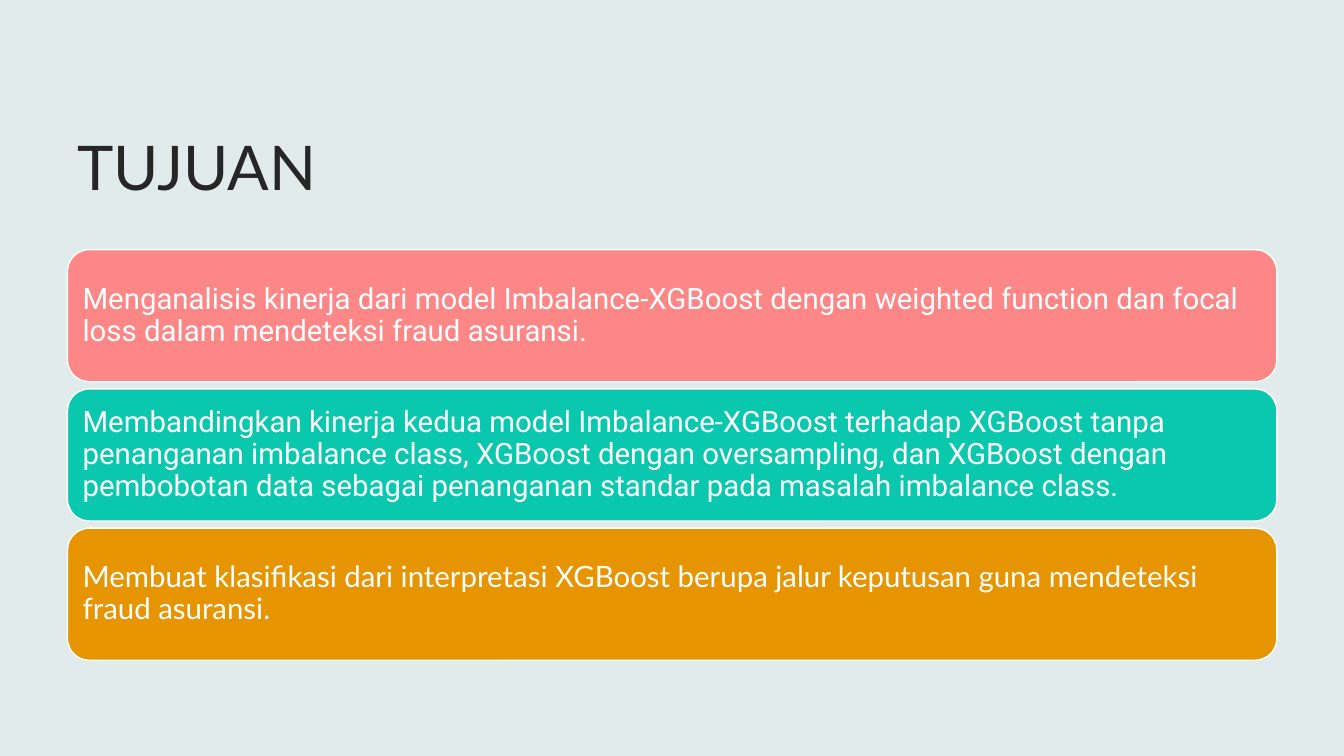
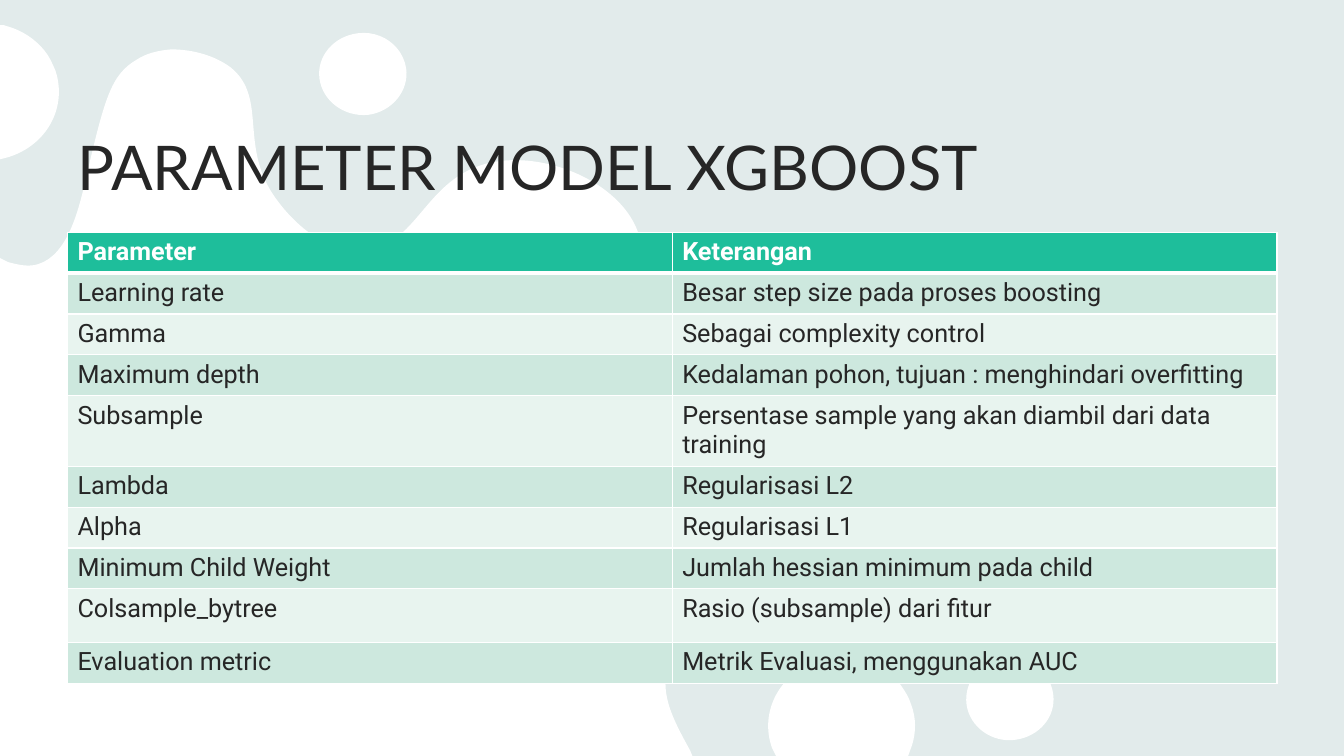
"""Build two slides: the research goals and the XGBoost parameter table."""
from dataclasses import dataclass

from lxml.etree import SubElement
from pptx import Presentation
from pptx.dml.color import RGBColor
from pptx.enum.shapes import MSO_SHAPE
from pptx.enum.text import MSO_ANCHOR, PP_ALIGN
from pptx.oxml.ns import qn
from pptx.util import Cm, Pt


@dataclass(frozen=True)
class Theme:
    background: str = "E9F3F3"
    tint: str = "AEAEAE"
    white: str = "FFFFFF"
    ink: str = "262626"
    coral: str = "FD8686"
    teal: str = "0AC8AD"
    amber: str = "E69500"
    header: str = "1EBE9B"
    bands: tuple = ("CDE8DE", "E8F4EF")
    heading_font: str = "Lato"
    body_font: str = "Roboto"
    title_size: int = 44
    goal_size: int = 21
    table_size: int = 18


theme = Theme()
margin = Cm(1.7)
content_width = Cm(30.48)


def add_run(paragraph, text, font, size, color, bold=False):
    run = paragraph.add_run()
    run.text = text
    run.font.name = font
    run.font.size = Pt(size)
    run.font.bold = bold
    run.font.color.rgb = RGBColor.from_string(color)


def add_titled_slide(title, blobs=()):
    slide = deck.slides.add_slide(deck.slide_layouts[6])
    slide.background.fill.solid()
    slide.background.fill.fore_color.rgb = RGBColor.from_string(theme.background)
    tint = slide.shapes.add_shape(
        MSO_SHAPE.RECTANGLE, 0, 0, deck.slide_width, deck.slide_height)
    tint.shadow.inherit = False
    tint.fill.solid()
    tint.fill.fore_color.rgb = RGBColor.from_string(theme.tint)
    tint.line.fill.background()
    tint_color = tint._element.spPr.find(qn("a:solidFill"))[0]
    SubElement(tint_color, qn("a:alpha"), val="10000")
    if blobs:
        builder = slide.shapes.build_freeform(*blobs[0][0], scale=Cm(2.54) / 100)
        for number, (start, *segments) in enumerate(blobs):
            if number:
                builder.move_to(*start)
            points = [segment[i:i + 2] for segment in segments
                      for i in range(0, len(segment), 2)]
            builder.add_line_segments(points, close=True)
        splash = builder.convert_to_shape()
        splash.shadow.inherit = False
        splash.fill.solid()
        splash.fill.fore_color.rgb = RGBColor.from_string(theme.white)
        splash.line.fill.background()
        vertices = iter(list(splash._element.iter(qn("a:lnTo"))))
        for start, *segments in blobs:
            for segment in segments:
                group = [next(vertices) for _ in range(len(segment) // 2)]
                if len(group) == 3:
                    curve = group[0].makeelement(qn("a:cubicBezTo"))
                    group[0].addprevious(curve)
                    for vertex in group:
                        curve.append(vertex[0])
                        vertex.getparent().remove(vertex)
    heading = slide.shapes.add_textbox(margin, Cm(1.55), content_width, Cm(3.68))
    heading.text_frame.word_wrap = True
    heading.text_frame.vertical_anchor = MSO_ANCHOR.BOTTOM
    add_run(heading.text_frame.paragraphs[0], title,
            theme.heading_font, theme.title_size, theme.ink)
    return slide


deck = Presentation()
deck.slide_width = Cm(33.87)
deck.slide_height = Cm(19.05)

goals = [
    ("Menganalisis kinerja dari model Imbalance-XGBoost dengan weighted function "
     "dan focal loss dalam mendeteksi fraud asuransi.",
     theme.coral, theme.body_font),
    ("Membandingkan kinerja kedua model Imbalance-XGBoost terhadap XGBoost tanpa "
     "penanganan imbalance class, XGBoost dengan oversampling, dan XGBoost dengan "
     "pembobotan data sebagai penanganan standar pada masalah imbalance class.",
     theme.teal, theme.body_font),
    ("Membuat klasifikasi dari interpretasi XGBoost berupa jalur keputusan guna "
     "mendeteksi fraud asuransi.",
     theme.amber, theme.heading_font),
]
goals_slide = add_titled_slide("TUJUAN")
for position, (goal, color, font) in enumerate(goals):
    card = goals_slide.shapes.add_shape(
        MSO_SHAPE.ROUNDED_RECTANGLE,
        margin, Cm(6.29 + position * 3.51), content_width, Cm(3.33))
    card.shadow.inherit = False
    card.fill.solid()
    card.fill.fore_color.rgb = RGBColor.from_string(color)
    card.line.color.rgb = RGBColor.from_string(theme.white)
    card.line.width = Pt(1)
    frame = card.text_frame
    frame.word_wrap = True
    frame.vertical_anchor = MSO_ANCHOR.MIDDLE
    frame.margin_left = frame.margin_right = Cm(0.22)
    paragraph = frame.paragraphs[0]
    paragraph.alignment = PP_ALIGN.LEFT
    paragraph.line_spacing = 0.9
    add_run(paragraph, goal, font, theme.goal_size, theme.white)

right_drop = [
    (997, 653),
    (1012, 652, 1027, 657, 1036, 668), (1041, 674, 1044, 681, 1045, 689),
    (1048, 711, 1031, 731, 1007, 734), (984, 737, 962, 721, 959, 699),
    (956, 676, 973, 656, 997, 653),
]
bottom_drop = [
    (835, 652),
    (858, 652, 880, 662, 894, 680), (898, 686, 902, 692, 904, 699),
    (909, 712, 909, 726, 905, 739), (901, 750), (770, 750), (766, 742),
    (753, 706, 774, 667, 812, 656), (820, 653, 827, 652, 835, 652),
]
wave = [
    (170, 49),
    (191, 49, 213, 55, 229, 67), (267, 98, 235, 147, 276, 200),
    (281, 207, 316, 252, 359, 249), (415, 245, 420, 178, 484, 162),
    (529, 151, 588, 170, 618, 205), (665, 260, 610, 320, 660, 389),
    (694, 438, 753, 454, 758, 455), (827, 473, 866, 429, 918, 459),
    (928, 465, 963, 486, 973, 521), (975, 526, 976, 531, 976, 536),
    (978, 574, 948, 613, 912, 624), (863, 638, 839, 591, 771, 596),
    (736, 598, 684, 617, 666, 653), (651, 684, 668, 714, 685, 745),
    (687, 750), (0, 750), (0, 256), (8, 260),
    (19, 263, 29, 265, 38, 262), (67, 253, 78, 209, 85, 178),
    (104, 97, 110, 74, 136, 59), (145, 53, 157, 50, 170, 49),
]
top_drop = [
    (355, 33),
    (370, 31, 385, 37, 394, 48), (399, 54, 402, 61, 403, 68),
    (406, 90, 389, 111, 365, 114), (341, 116, 320, 100, 317, 78),
    (314, 56, 331, 36, 355, 33),
]
left_drop = [
    (0, 25), (4, 25), (7, 26),
    (22, 30, 35, 39, 44, 50), (49, 56, 52, 63, 55, 70),
    (67, 106, 47, 144, 8, 156), (0, 158),
]
parameters_slide = add_titled_slide(
    "PARAMETER MODEL XGBOOST",
    blobs=(right_drop, bottom_drop, wave, top_drop, left_drop))

parameters = [
    ("Parameter", "Keterangan"),
    ("Learning rate", "Besar step size pada proses boosting"),
    ("Gamma", "Sebagai complexity control"),
    ("Maximum depth", "Kedalaman pohon, tujuan : menghindari overfitting"),
    ("Subsample", "Persentase sample yang akan diambil dari data training"),
    ("Lambda", "Regularisasi L2"),
    ("Alpha", "Regularisasi L1"),
    ("Minimum Child Weight", "Jumlah hessian minimum pada child"),
    ("Colsample_bytree", "Rasio (subsample) dari fitur"),
    ("Evaluation metric", "Metrik Evaluasi, menggunakan AUC"),
]
row_heights = {"Colsample_bytree": 1.35}
heights = [Cm(row_heights.get(name, 1.03)) for name, _ in parameters]
parameter_table = parameters_slide.shapes.add_table(
    len(parameters), 2, margin, Cm(5.85), content_width, sum(heights)).table
for row_index, entries in enumerate(parameters):
    is_header = row_index == 0
    parameter_table.rows[row_index].height = heights[row_index]
    fill = theme.header if is_header else theme.bands[(row_index - 1) % 2]
    for column_index, entry in enumerate(entries):
        cell = parameter_table.cell(row_index, column_index)
        properties = cell._tc.get_or_add_tcPr()
        for side in ("a:lnL", "a:lnR", "a:lnT", "a:lnB"):
            at_header_rule = (row_index, side) in ((0, "a:lnB"), (1, "a:lnT"))
            border = SubElement(properties, qn(side),
                                w=str(Pt(3 if at_header_rule else 1)))
            SubElement(SubElement(border, qn("a:solidFill")),
                       qn("a:srgbClr"), val=theme.white)
        cell.fill.solid()
        cell.fill.fore_color.rgb = RGBColor.from_string(fill)
        add_run(cell.text_frame.paragraphs[0], entry, theme.body_font,
                theme.table_size, theme.white if is_header else theme.ink, is_header)

deck.save("out.pptx")
